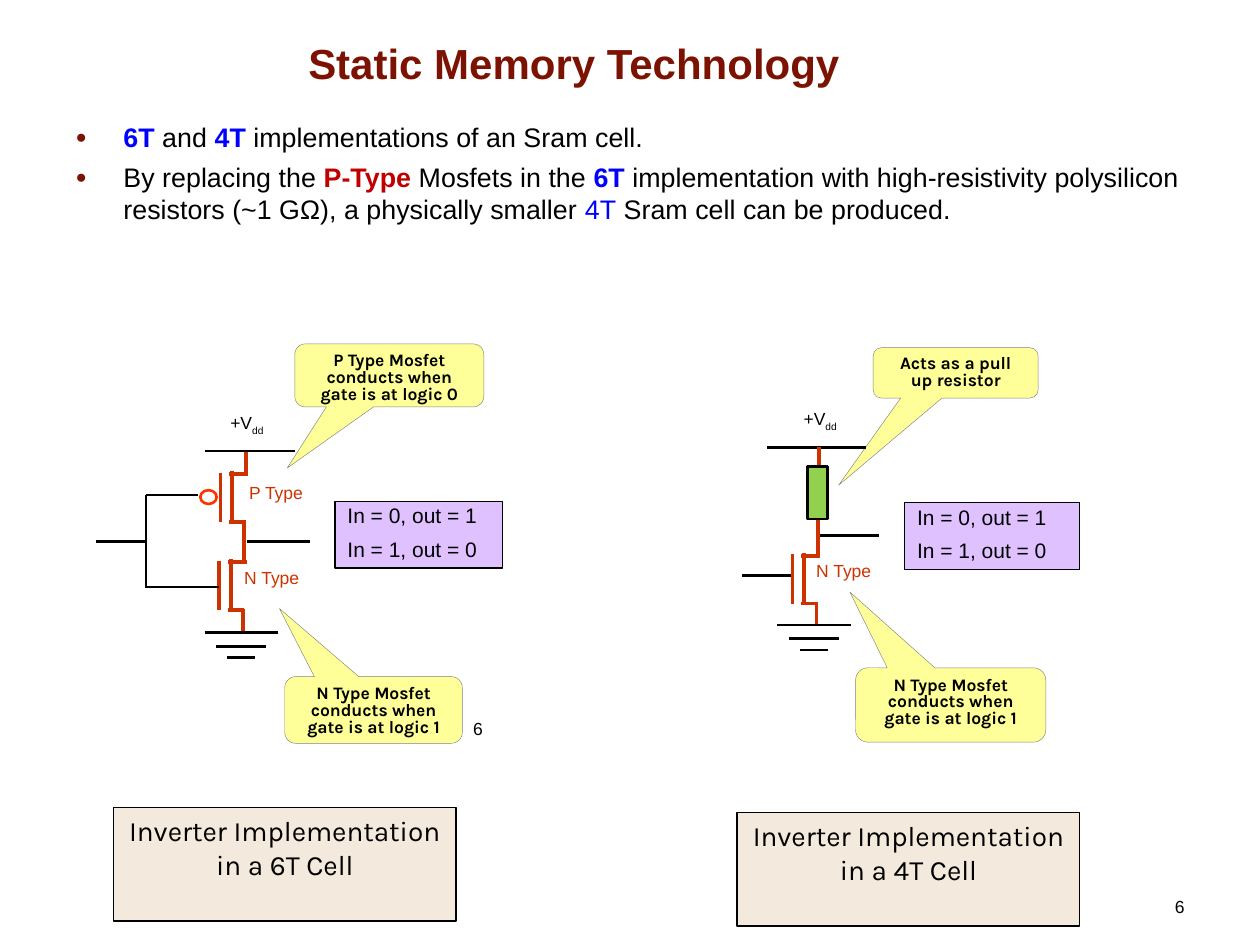
from typing import NamedTuple

from lxml.etree import SubElement
from pptx import Presentation
from pptx.dml.color import RGBColor
from pptx.enum.shapes import MSO_CONNECTOR, MSO_SHAPE
from pptx.enum.text import MSO_ANCHOR, MSO_AUTO_SIZE, PP_ALIGN
from pptx.oxml.ns import qn
from pptx.util import Inches, Pt

COLUMNS, ROWS = 100, 75
CELL = Inches(0.1)
BLACK, RED, MAROON, BLUE = "000000", "CC3300", "7C1302", "0000FF"


class Area(NamedTuple):
    left: float
    top: float
    width: float
    height: float


class Look(NamedTuple):
    size: float
    font: str = "Arial"
    color: str = BLACK
    bold: bool = False
    align: PP_ALIGN = PP_ALIGN.LEFT
    spacing: float = 1.0
    before: float = 0


class Wire(NamedTuple):
    x1: float
    y1: float
    x2: float
    y2: float


class Callout(NamedTuple):
    area: Area
    tip: tuple[float, float]
    words: str


class Inverter(NamedTuple):
    supply: Area
    logic: Area
    type_labels: list[tuple[str, Area]]
    callouts: list[Callout]
    transistors: list[tuple[float, float]]
    ground: tuple[float, float]
    wires: list[Wire]
    caption: Area
    cell: str


LABEL = Look(10, spacing=0.8, before=6.2)
TYPE_LABEL = LABEL._replace(color=RED)
CALLOUT = LABEL._replace(font="Karla", bold=True, align=PP_ALIGN.CENTER)
LOGIC = Look(12, spacing=0.8, before=7.5)
CAPTION = Look(16, "Karla", align=PP_ALIGN.CENTER)
NUMBER = Look(10, align=PP_ALIGN.RIGHT)

TRANSISTOR = [
    Wire(0, 0, 0, 3.9), Wire(0.9, -0.1, 0.9, 3.9),
    Wire(0.7, 0.1, 2.2, 0.1), Wire(0.7, 3.9, 2, 3.9),
    Wire(2, -1.6, 2, 0.2), Wire(1.9, 3.8, 1.9, 5.7),
]
GROUND = [Wire(-2.9, 0, 2.9, 0), Wire(-2, 1.1, 2, 1.1), Wire(-1.1, 2, 1.1, 2)]
N_NOTE = "N Type Mosfet conducts when gate is at logic 1"

INVERTERS = [
    Inverter(
        Area(17.3, 32.4, 9, 2.5), Area(26.6, 39.8, 13.3, 5.3),
        [("P Type", Area(18.8, 38.1, 9, 2.4)), ("N Type", Area(18.4, 44.8, 9, 2.4))],
        [Callout(Area(23.4, 27.3, 15, 5), (-0.54, 1.47),
                 "P Type Mosfet conducts when gate is at logic 0"),
         Callout(Area(22.6, 53.7, 14.1, 5.3), (-0.53, -1.52), N_NOTE)],
        [(17.5, 37.5), (17.4, 44.5)], (19.15, 50.2),
        [Wire(16.3, 35.8, 23.4, 35.8), Wire(19.6, 43, 24.6, 43),
         Wire(15.7, 39.3, 11.6, 39.3), Wire(11.6, 39.3, 11.6, 46.6),
         Wire(11.5, 46.6, 17.4, 46.6), Wire(11.6, 43, 7.6, 43)],
        Area(9, 64.1, 27.2, 9), "6T"),
    Inverter(
        Area(62.8, 32.1, 8.7, 2.5), Area(71.8, 39.9, 13.9, 5.3),
        [("N Type", Area(63.8, 44.3, 8.7, 2.4))],
        [Callout(Area(69.3, 27.6, 13.1, 4), (-0.71, 2.23), "Acts as a pull up resistor"),
         Callout(Area(67.9, 53, 15.1, 5.9), (-0.53, -1.52), N_NOTE)],
        [(62.9, 44)], (64.6, 49.6),
        [Wire(60.9, 35.5, 68.7, 35.5), Wire(65, 42.5, 69.8, 42.5),
         Wire(62.8, 45.7, 58.9, 45.7)],
        Area(58.5, 64.5, 27.2, 9), "4T"),
]


def rgb(color: str) -> RGBColor:
    """Turn a hex string into a colour."""
    return RGBColor.from_string(color)


def place(area: Area) -> list[int]:
    """Turn grid cells into slide lengths."""
    return [round(length * CELL) for length in area]


def style(paragraph, look: Look) -> None:
    """Format a whole paragraph."""
    paragraph.alignment, paragraph.line_spacing = look.align, look.spacing
    paragraph.space_before = Pt(look.before)
    font = paragraph.font
    font.size, font.name, font.bold = Pt(look.size), look.font, look.bold
    font.color.rgb = rgb(look.color)


def write(shape, lines: list[str], look: Look) -> None:
    """Fill a shape with formatted lines from its top."""
    frame = shape.text_frame
    frame.text = "\n".join(lines)
    frame.word_wrap, frame.vertical_anchor = True, MSO_ANCHOR.TOP
    for paragraph in frame.paragraphs:
        style(paragraph, look)


def label(slide, area: Area, words: str, look: Look):
    """Add a text box and return it."""
    box = slide.shapes.add_textbox(*place(area))
    write(box, [words], look)
    return box


def figure(slide, kind: MSO_SHAPE, area: Area, fill: str | None,
           line: str = BLACK, weight: float = 0.75):
    """Add a preset shape and return it."""
    shape = slide.shapes.add_shape(kind, *place(area))
    shape.shadow.inherit = False
    if fill:
        shape.fill.solid()
        shape.fill.fore_color.rgb = rgb(fill)
    else:
        shape.fill.background()
    shape.line.color.rgb, shape.line.width = rgb(line), Pt(weight)
    return shape


def draw_wires(slide, wires: list[Wire], color: str = BLACK, weight: float = 1.5,
               origin: tuple[float, float] = (0, 0)) -> None:
    """Draw wires shifted to an origin."""
    x, y = origin
    for wire in wires:
        ends = Area(wire.x1 + x, wire.y1 + y, wire.x2 + x, wire.y2 + y)
        connector = slide.shapes.add_connector(MSO_CONNECTOR.STRAIGHT, *place(ends))
        connector.line.color.rgb, connector.line.width = rgb(color), Pt(weight)
        SubElement(connector._element.spPr, qn("a:effectLst"))


def draw_inverter(slide, inverter: Inverter) -> None:
    """Draw one inverter with its notes and caption."""
    supply = label(slide, inverter.supply, "+V", LABEL)
    subscript = supply.text_frame.paragraphs[0].add_run()
    subscript.text = "dd"
    subscript.font._element.set("baseline", "-25000")
    logic = figure(slide, MSO_SHAPE.RECTANGLE, inverter.logic, "CC99FF")
    tint = logic._element.spPr.find(qn("a:solidFill"))[0]
    SubElement(tint, qn("a:alpha"), val="60000")
    write(logic, ["In = 0, out = 1", "In = 1, out = 0"], LOGIC)
    for words, area in inverter.type_labels:
        label(slide, area, words, TYPE_LABEL)
    for note in inverter.callouts:
        bubble = figure(slide, MSO_SHAPE.ROUNDED_RECTANGULAR_CALLOUT, note.area,
                        "FFFF99", "808080", 0.25)
        bubble.adjustments[0], bubble.adjustments[1] = note.tip
        write(bubble, [note.words], CALLOUT)
    for origin in inverter.transistors:
        draw_wires(slide, TRANSISTOR, RED, 2.25, origin)
    draw_wires(slide, GROUND, origin=inverter.ground)
    draw_wires(slide, inverter.wires)
    caption = figure(slide, MSO_SHAPE.RECTANGLE, inverter.caption, "F3EADD")
    write(caption, [f"Inverter Implementation in a {inverter.cell} Cell"], CAPTION)


def fill_placeholder(shape, area: Area, anchor: MSO_ANCHOR):
    """Move a placeholder and return its text frame."""
    shape.left, shape.top, shape.width, shape.height = place(area)
    frame = shape.text_frame
    frame.auto_size, frame.vertical_anchor = MSO_AUTO_SIZE.NONE, anchor
    return frame


def add_bullet(paragraph, pieces: list[tuple[str, str, bool]]) -> None:
    """Write a bulleted paragraph from coloured pieces."""
    style(paragraph, Look(15.3, before=4.5))
    for words, color, bold in pieces:
        run = paragraph.add_run()
        run.text, run.font.bold = words, bold
        run.font.color.rgb = rgb(color)
    properties = paragraph._p.get_or_add_pPr()
    properties.set("marL", str(Inches(0.38)))
    properties.set("indent", str(-Inches(0.38)))
    bullet_color = SubElement(properties, qn("a:buClr"))
    SubElement(bullet_color, qn("a:srgbClr"), val=MAROON)
    SubElement(properties, qn("a:buSzPct"), val="70000")
    SubElement(properties, qn("a:buChar"), char="●")
    properties.append(properties.find(qn("a:defRPr")))


def main() -> None:
    """Build the slide and save it."""
    deck = Presentation()
    deck.slide_width, deck.slide_height = COLUMNS * CELL, ROWS * CELL
    slide = deck.slides.add_slide(deck.slide_layouts[1])
    title, body = slide.placeholders
    heading = fill_placeholder(title, Area(4.3, 2.1, 82.5, 5.4), MSO_ANCHOR.BOTTOM)
    heading.text = "Static Memory Technology"
    style(heading.paragraphs[0], Look(24, color=MAROON, bold=True, align=PP_ALIGN.CENTER))
    points = fill_placeholder(body, Area(5, 9.1, 90, 12), MSO_ANCHOR.TOP)
    add_bullet(points.paragraphs[0], [
        ("6T", BLUE, True), (" and ", BLACK, False), ("4T", BLUE, True),
        (" implementations of an Sram cell.", BLACK, False)])
    add_bullet(points.add_paragraph(), [
        ("By replacing the ", BLACK, False), ("P-Type", "C00000", True),
        (" Mosfets in the ", BLACK, False), ("6T", BLUE, True),
        (" implementation with high-resistivity polysilicon resistors (~1 GΩ), "
         "a physically smaller ", BLACK, False),
        ("4T", BLUE, False), (" Sram cell can be produced.", BLACK, False)])
    for area in (Area(71.7, 70.6, 23.3, 2.8), Area(6.9, 56.5, 32.4, 3.3)):
        label(slide, area, "6", NUMBER)
    for inverter in INVERTERS:
        draw_inverter(slide, inverter)
    figure(slide, MSO_SHAPE.OVAL, Area(15.9, 38.9, 1.3, 1.1), None, "FF3300", 1.5)
    draw_wires(slide, [Wire(65, 35.5, 65, 37.3), Wire(64.9, 40.8, 64.9, 42.7)], RED, 2.25)
    figure(slide, MSO_SHAPE.RECTANGLE, Area(64.1, 37, 1.6, 4.2), "92D050", weight=1.5)
    deck.save("out.pptx")


if __name__ == "__main__":
    main()
